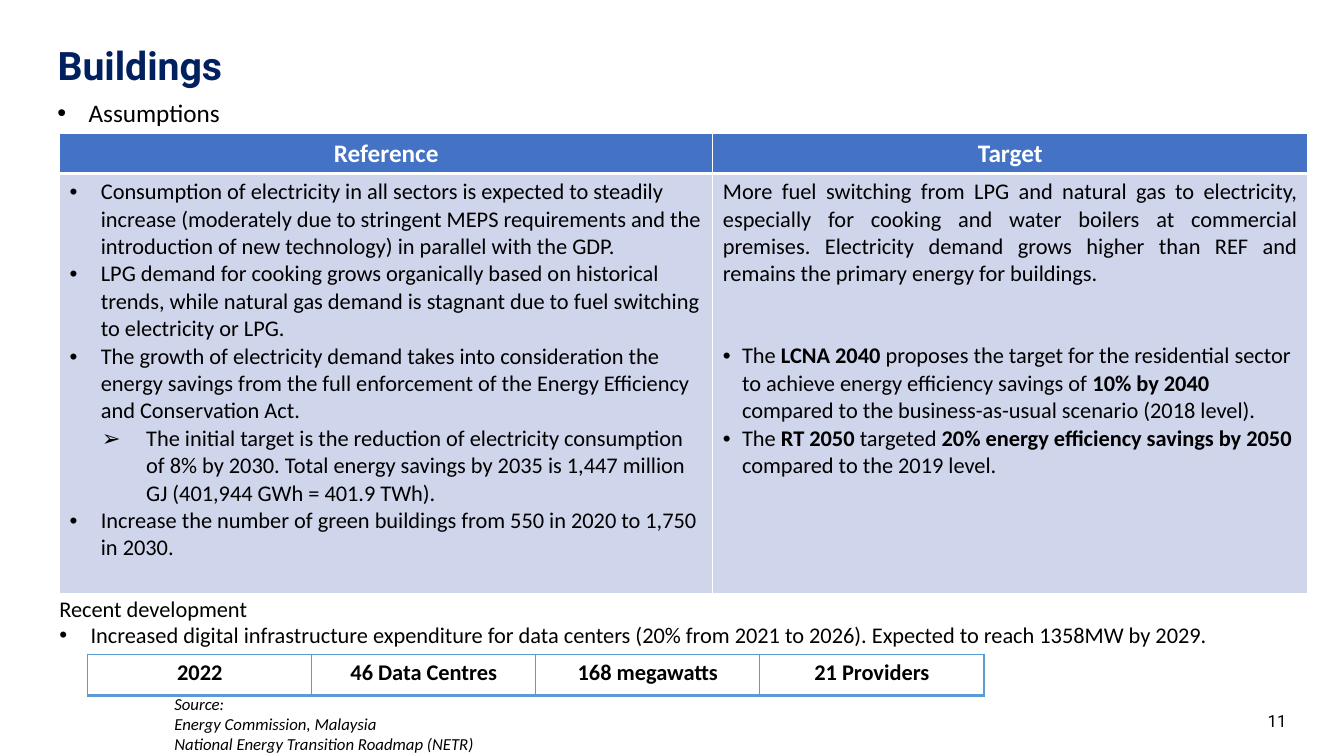
from dataclasses import dataclass

import pptx
import pptx.dml.color
import pptx.enum.text
import pptx.oxml
import pptx.oxml.ns
import pptx.util

RGBColor = pptx.dml.color.RGBColor
Align = pptx.enum.text.PP_ALIGN
Anchor = pptx.enum.text.MSO_ANCHOR
NAVY = RGBColor(0x00, 0x20, 0x60)
BLUE = RGBColor(0x44, 0x72, 0xC4)
SKY = RGBColor(0x5B, 0x9B, 0xD5)
PALE = RGBColor(0xCF, 0xD5, 0xEA)
WHITE = RGBColor(0xFF, 0xFF, 0xFF)
BLACK = RGBColor(0x00, 0x00, 0x00)
WIDTH = pptx.util.Inches(13.33)
HEIGHT = pptx.util.Inches(7.5)


@dataclass(frozen=True)
class Area:
    """Place on the slide, in percent of its width and height."""
    left: float
    top: float
    width: float
    height: float

    def lengths(self) -> tuple[int, int, int, int]:
        """Return left, top, width and height as slide lengths."""
        return across(self.left), down(self.top), across(self.width), down(self.height)


@dataclass(frozen=True)
class Para:
    """Paragraph whose bold parts stand between double asterisks."""
    text: str
    size: float = 16
    font: str = "Calibri"
    color: RGBColor = BLACK
    bold: bool = False
    italic: bool = False
    align: Align = Align.LEFT
    bullet: str = ""
    margin: float = 0.31
    hanging: float = 0.31
    before: float = 0


@dataclass(frozen=True)
class Grid:
    """Table with column and row shares, cell paragraphs, fills and borders."""
    left: float
    top: float
    columns: list[float]
    rows: list[float]
    cells: list[list[list[Para]]]
    fills: list[RGBColor | None]
    border: RGBColor
    bottoms: list[float]


def across(share: float) -> int:
    """Turn a percentage of the slide width into a length."""
    return round(WIDTH * share / 100)


def down(share: float) -> int:
    """Turn a percentage of the slide height into a length."""
    return round(HEIGHT * share / 100)


def add_bullet(paragraph, para: Para) -> None:
    """Give a paragraph its bullet sign and hanging indent."""
    properties = paragraph._p.get_or_add_pPr()
    properties.set("marL", str(pptx.util.Inches(para.margin)))
    properties.set("indent", str(-pptx.util.Inches(para.hanging)))
    for tag, name, value in (("a:buFont", "typeface", "Arial"), ("a:buChar", "char", para.bullet)):
        element = pptx.oxml.ns.qn(tag)
        properties.append(properties.makeelement(element, {name: value}))


def write(frame, paras: list[Para]) -> None:
    """Fill a text frame with paragraphs."""
    for index, para in enumerate(paras):
        paragraph = frame.add_paragraph() if index else frame.paragraphs[0]
        if para.bullet:
            add_bullet(paragraph, para)
        paragraph.alignment = para.align
        if para.before:
            paragraph.space_before = pptx.util.Pt(para.before)
        font = paragraph.font
        font.name, font.size = para.font, pptx.util.Pt(para.size)
        font.bold, font.italic = para.bold, para.italic
        font.color.rgb = para.color
        for position, part in enumerate(para.text.split("**")):
            span = paragraph.add_run()
            span.text = part
            if position % 2:
                span.font.bold = True


def add_text(page, area: Area, paras: list[Para], anchor: Anchor = Anchor.TOP) -> None:
    """Add a wrapping text box."""
    frame = page.shapes.add_textbox(*area.lengths()).text_frame
    frame.word_wrap = True
    frame.vertical_anchor = anchor
    write(frame, paras)


def add_borders(cell, color: RGBColor, bottom: float, top: float) -> None:
    """Draw the four borders of a cell."""
    properties = cell._tc.get_or_add_tcPr()
    for side, points in (("L", 1), ("R", 1), ("T", top), ("B", bottom)):
        properties.append(pptx.oxml.parse_xml(
            f'<a:ln{side} {pptx.oxml.ns.nsdecls("a")} w="{pptx.util.Pt(points)}">'
            f'<a:solidFill><a:srgbClr val="{color}"/></a:solidFill></a:ln{side}>'))


def add_grid(page, grid: Grid) -> None:
    """Add a table and format all its cells."""
    area = Area(grid.left, grid.top, sum(grid.columns), sum(grid.rows))
    table = page.shapes.add_table(len(grid.rows), len(grid.columns), *area.lengths()).table
    for column, share in zip(table.columns, grid.columns):
        column.width = across(share)
    for index, share in enumerate(grid.rows):
        table.rows[index].height = down(share)
        for position, paras in enumerate(grid.cells[index]):
            cell = table.cell(index, position)
            top = grid.bottoms[index - 1] if index else 1
            add_borders(cell, grid.border, grid.bottoms[index], top)
            if grid.fills[index] is None:
                cell.fill.background()
            else:
                cell.fill.solid()
                cell.fill.fore_color.rgb = grid.fills[index]
            write(cell.text_frame, paras)


def add_title(page, area: Area, para: Para) -> None:
    """Move and format the title placeholder."""
    title = page.shapes.title
    title.left, title.top, title.width, title.height = area.lengths()
    frame = title.text_frame
    frame.auto_size = pptx.enum.text.MSO_AUTO_SIZE.NONE
    frame.vertical_anchor = Anchor.BOTTOM
    write(frame, [para])
    frame.paragraphs[0].line_spacing = 0.9


REFERENCE = [
    Para("Consumption of electricity in all sectors is expected to steadily increase (moderately due to stringent MEPS requirements and the introduction of new technology) in parallel with the GDP.", bullet="•"),
    Para("LPG demand for cooking grows organically based on historical trends, while natural gas demand is stagnant due to fuel switching to electricity or LPG.", bullet="•"),
    Para("The growth of electricity demand takes into consideration the energy savings from the full enforcement of the Energy Efficiency and Conservation Act.", bullet="•"),
    Para("The initial target is the reduction of electricity consumption of 8% by 2030. Total energy savings by 2035 is 1,447 million GJ (401,944 GWh = 401.9 TWh).", bullet="➢", margin=0.76, hanging=0.44),
    Para("Increase the number of green buildings from 550 in 2020 to 1,750 in 2030.", bullet="•"),
]
TARGET = [
    Para("More fuel switching from LPG and natural gas to electricity, especially for cooking and water boilers at commercial premises. Electricity demand grows higher than REF and remains the primary energy for buildings.", align=Align.JUSTIFY),
    Para("The **LCNA 2040 **proposes the target for the residential sector to achieve energy efficiency savings of **10% by 2040 **compared to the business-as-usual scenario (2018 level).", bullet="•", margin=0.19, hanging=0.19, before=39),
    Para("The **RT 2050 **targeted **20% energy efficiency savings by 2050 **compared to the 2019 level.", bullet="•", margin=0.19, hanging=0.19),
]
HEADINGS = [[Para(text, 18, color=WHITE, bold=True, align=Align.CENTER)] for text in ("Reference", "Target")]
FACTS = [[Para(text, bold=True, align=Align.CENTER)]
         for text in ("2022", "46 Data Centres", "168 megawatts", "21 Providers")]
SOURCES = [Para(text, 12, italic=True) for text in (
    "Source:", "Energy Commission, Malaysia", "National Energy Transition Roadmap (NETR)")]
DEVELOPMENT = [
    Para("Recent development"),
    Para("Increased digital infrastructure expenditure for data centers (20% from 2021 to 2026). Expected to reach 1358MW by 2029.", bullet="•"),
]


def main() -> None:
    """Build the slide on buildings and save it."""
    deck = pptx.Presentation()
    deck.slide_width, deck.slide_height = WIDTH, HEIGHT
    page = deck.slides.add_slide(deck.slide_layouts.get_by_name("Title Only"))
    add_title(page, Area(3.53, 4.53, 92.95, 7.87), Para("Buildings", 28, "Roboto", NAVY, True))
    add_text(page, Area(73.97, 92.67, 22.5, 5.33),
             [Para("11", 12, "Roboto", align=Align.RIGHT)], Anchor.MIDDLE)
    add_grid(page, Grid(4.43, 17.6, [48.61, 44.26], [5.33, 55.6], [HEADINGS, [REFERENCE, TARGET]],
                        [BLUE, PALE], WHITE, [3, 1]))
    add_text(page, Area(3.53, 12.27, 59.94, 5.33), [Para("Assumptions", 18, bullet="•")])
    add_text(page, Area(3.68, 78, 92.8, 8.53), DEVELOPMENT)
    add_grid(page, Grid(6.53, 86.53, [16.67] * 4, [5.47], [FACTS], [None], SKY, [2]))
    add_text(page, Area(12.23, 91.07, 27.61, 9.47), SOURCES)
    deck.save("out.pptx")


if __name__ == "__main__":
    main()
